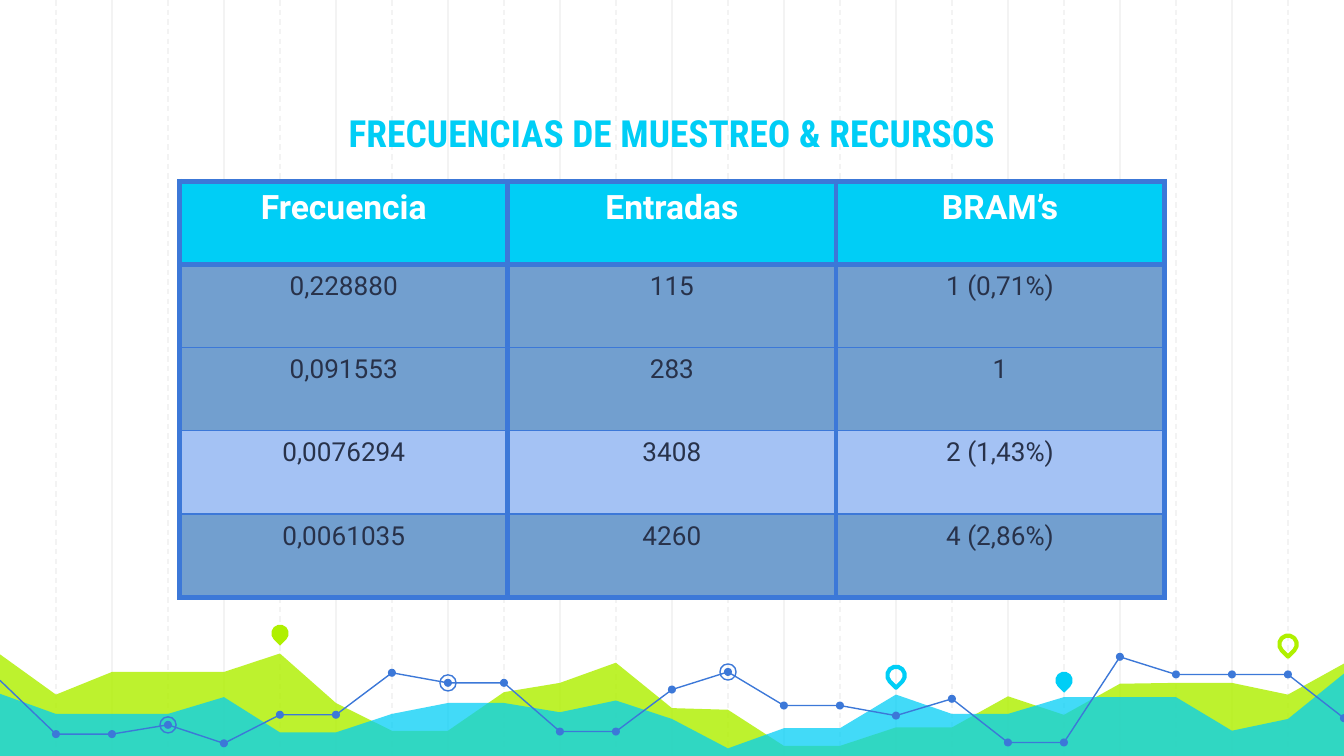
from lxml.etree import SubElement
from pptx import Presentation
from pptx.dml.color import RGBColor
from pptx.enum.dml import MSO_LINE
from pptx.enum.shapes import MSO_CONNECTOR, MSO_SHAPE
from pptx.enum.text import MSO_ANCHOR, PP_ALIGN
from pptx.oxml import parse_xml
from pptx.oxml.ns import nsdecls, qn
from pptx.util import Inches, Pt

LIME = RGBColor(0xAF, 0xF0, 0x00)
CYAN = RGBColor(0x00, 0xCE, 0xF6)
BLUE = RGBColor(0x3C, 0x78, 0xD8)
STEEL = RGBColor(0x72, 0x9F, 0xCF)
PALE = RGBColor(0xA4, 0xC2, 0xF4)
GREY = RGBColor(0xF3, 0xF3, 0xF3)
DARK = RGBColor(0x28, 0x32, 0x4A)
WHITE = RGBColor(0xFF, 0xFF, 0xFF)

deck = Presentation()
deck.slide_width, deck.slide_height = Inches(10), Inches(5.625)
slide = deck.slides.add_slide(deck.slide_layouts[6])
shapes = slide.shapes

# The slide is a grid of 24 columns and 90 rows.
COLS, ROWS = 24, 90
col = deck.slide_width / COLS
row = deck.slide_height / ROWS


def paint(shape, fill=None, line=None, width=0.75):
    shape.shadow.inherit = False
    if fill is None:
        shape.fill.background()
    else:
        shape.fill.solid()
        shape.fill.fore_color.rgb = fill
    if line is None:
        shape.line.fill.background()
    else:
        shape.line.color.rgb = line
        shape.line.width = Pt(width)


def mark(kind, x, y, size, **look):
    """Centre a square shape, its size in rows, on grid point x, y."""
    side = round(size * row)
    shape = shapes.add_shape(
        kind, round(x * col - side / 2), round(y * row - side / 2), side, side)
    paint(shape, **look)
    return shape


# Guide lines, every other one dashed
for x in range(1, COLS):
    left = round(x * col)
    guide = shapes.add_connector(
        MSO_CONNECTOR.STRAIGHT, left, 0, left, deck.slide_height)
    guide.line.color.rgb = GREY
    guide.line.width = Pt(0.75)
    if x % 2:
        guide.line.dash_style = MSO_LINE.DASH
    SubElement(guide.element.spPr, qn("a:effectLst"))

# Areas: one height per column, in rows from the top
hills = [77.9, 82.7, 80, 80, 80, 77.8, 83.7, 87, 87, 82.4, 81.3, 78.9, 84.3,
         84.5, 88.8, 88.8, 86.6, 86.6, 82.9, 85.1, 81.4, 81.3, 81.3, 82.7, 79]
waves = [82.6, 85, 85, 85, 83, 87.2, 87.2, 85, 83.7, 83.7, 84.8, 83.4, 85.6,
         89.1, 86.7, 86.7, 82.7, 85, 85, 83, 83, 83, 87, 85.6, 80.2]
for tops, fill, alpha in ((hills, LIME, 82), (waves, CYAN, 74)):
    points = [(x * col, y * row) for x, y in enumerate(tops)]
    points += [(COLS * col, ROWS * row), (0, ROWS * row)]
    pen = shapes.build_freeform(*points[0])
    pen.add_line_segments(points[1:], close=True)
    area = pen.convert_to_shape()
    paint(area, fill)
    tint = area.element.spPr.find(qn("a:solidFill"))[0]
    SubElement(tint, qn("a:alpha"), val=str(alpha * 1000))

# Pins
for x, y, look in (
    (5, 75.4, {"fill": LIME}),
    (16, 80.4, {"line": CYAN, "width": 2.25}),
    (19, 81, {"fill": CYAN}),
    (23, 76.7, {"line": LIME, "width": 2.25}),
):
    pin = mark(MSO_SHAPE.TEAR, x, y, 2.08, **look)
    pin.rotation = 135

# Line with a dot at each column and three rings
trend = [81, 87.4, 87.4, 86.3, 88.5, 85.1, 85.1, 80.1, 81.3, 81.3, 87.1, 87.1,
         82.1, 80, 84, 84, 85.2, 83.2, 88.4, 88.4, 78.2, 80.3, 80.3, 80.3, 85.5]
points = [(x * col, y * row) for x, y in enumerate(trend)]
pen = shapes.build_freeform(*points[0])
pen.add_line_segments(points[1:], close=False)
paint(pen.convert_to_shape(), line=BLUE)
for x, y in enumerate(trend[1:], 1):
    mark(MSO_SHAPE.OVAL, x, y, 0.96, fill=BLUE)
for x in (3, 8, 13):
    mark(MSO_SHAPE.OVAL, x, trend[x], 1.92, line=BLUE)

# Title
box = shapes.add_textbox(
    round(2.8 * col), round(7.5 * row), round(18.4 * col), round(12.5 * row))
frame = box.text_frame
frame.word_wrap = True
frame.vertical_anchor = MSO_ANCHOR.BOTTOM
frame.margin_left = frame.margin_right = Inches(0.1)
frame.margin_top = frame.margin_bottom = Inches(0.1)
title = frame.paragraphs[0]
title.text = "FRECUENCIAS DE MUESTREO & RECURSOS"
title.alignment = PP_ALIGN.CENTER
title.font.name, title.font.size, title.font.bold = "Roboto Condensed", Pt(20), True
title.font.color.rgb = CYAN

# Table
data = [
    ("Frecuencia", "Entradas", "BRAM’s"),
    ("0,228880", "115", "1 (0,71%)"),
    ("0,091553", "283", "1"),
    ("0,0076294", "3408", "2 (1,43%)"),
    ("0,0061035", "4260", "4 (2,86%)"),
]
fills = [CYAN, STEEL, STEEL, PALE, STEEL]
last = len(data) - 1
wide, high = round(5.86 * col), round(9.9 * row)
table = shapes.add_table(
    len(data), 3, round(3.21 * col), round(21.6 * row),
    3 * wide, len(data) * high).table
for band in table.rows:
    band.height = high
for part in table.columns:
    part.width = wide
for r, texts in enumerate(data):
    head = r == 0
    edges = {"L": 3, "R": 3, "T": 3 if r < 2 else 0.75,
             "B": 3 if r in (0, last) else 0.75}
    for c, text in enumerate(texts):
        cell = table.cell(r, c)
        cell.fill.solid()
        cell.fill.fore_color.rgb = fills[r]
        para = cell.text_frame.paragraphs[0]
        para.text = text
        para.alignment = PP_ALIGN.CENTER
        para.font.name, para.font.bold = "Roboto", head
        para.font.size = Pt(18 if head else 14)
        para.font.color.rgb = WHITE if head else DARK
        props = cell._tc.get_or_add_tcPr()
        for i, (side, width) in enumerate(edges.items()):
            props.insert(i, parse_xml(
                f'<a:ln{side} {nsdecls("a")} w="{Pt(width)}"><a:solidFill>'
                f'<a:srgbClr val="{BLUE}"/></a:solidFill></a:ln{side}>'))

deck.save("out.pptx")
